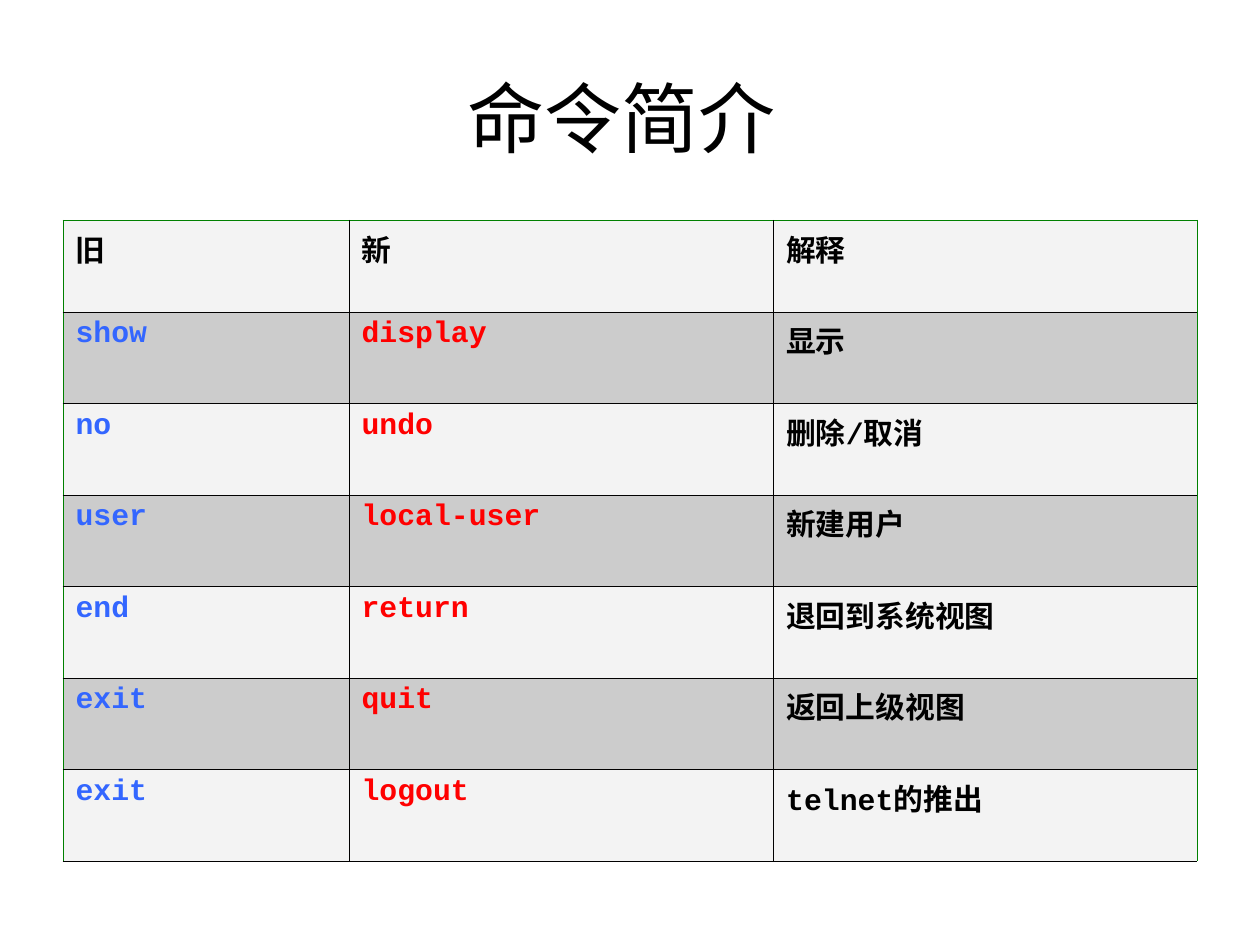
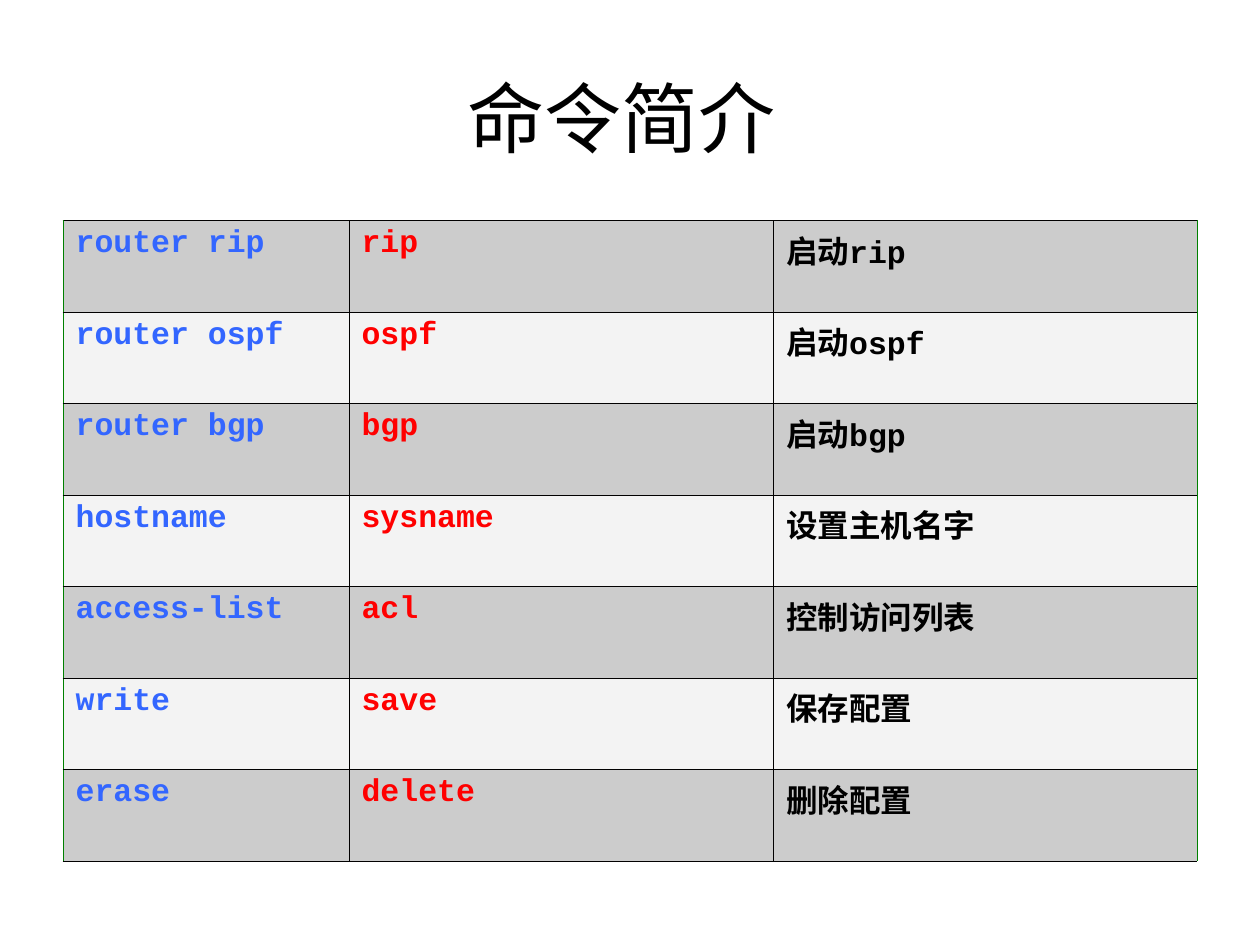
"""Build two slides that pair old router commands with new ones."""
from itertools import groupby

from lxml.etree import SubElement
from pptx import Presentation
from pptx.dml.color import RGBColor
from pptx.enum.text import MSO_ANCHOR, PP_ALIGN
from pptx.oxml import parse_xml
from pptx.oxml.ns import nsdecls, qn
from pptx.util import Emu, Inches, Pt

WIDTH, HEIGHT = Inches(10), Inches(7.5)
MARGIN = 0.05
TITLE_TOP, TITLE_HEIGHT = 0.04, 1 / 6
TABLE_TOP, TABLE_HEIGHT = 0.233, 0.678
COLUMN_SHARES = (0.227, 0.337, 0.336)

BLACK = RGBColor(0x00, 0x00, 0x00)
BLUE = RGBColor(0x33, 0x66, 0xFF)
RED = RGBColor(0xFF, 0x00, 0x00)
GREEN = RGBColor(0x00, 0x80, 0x00)
HAIRLINE = RGBColor(0x01, 0x00, 0x00)
STRIPES = (RGBColor(0xF3, 0xF3, 0xF3), RGBColor(0xCC, 0xCC, 0xCC))
COLUMN_COLORS = (BLUE, RED, BLACK)

TITLE_FONT, CODE_FONT, CHINESE_FONT = "Arial", "Courier New", "Noto Sans CJK SC"
TITLE = "命令简介 "
HEADER = ("旧", "新", "解释")
BASIC_COMMANDS = (
    ("show", "display", "显示"),
    ("no", "undo", "删除/取消"),
    ("user", "local-user", "新建用户"),
    ("end", "return", "退回到系统视图"),
    ("exit", "quit", "返回上级视图"),
    ("exit", "logout", "telnet的推出"),
)
SETUP_COMMANDS = (
    ("router rip", "rip", "启动rip"),
    ("router ospf", "ospf", "启动ospf"),
    ("router bgp", "bgp", "启动bgp"),
    ("hostname", "sysname", "设置主机名字"),
    ("access-list", "acl", "控制访问列表"),
    ("write", "save", "保存配置"),
    ("erase", "delete", "删除配置"),
)


def format_span(span, size, font, color, bold=False):
    """Set the look of one run, with a Chinese font beside the Latin one."""
    span.font.size = Pt(size)
    span.font.name = font
    span.font.bold = bold
    span.font.color.rgb = color
    SubElement(span.font._element, qn("a:ea"), typeface=CHINESE_FONT)


def add_title(page):
    """Add the centred slide title."""
    box = page.shapes.add_textbox(
        Emu(int(WIDTH * MARGIN)), Emu(int(HEIGHT * TITLE_TOP)),
        Emu(int(WIDTH * (1 - 2 * MARGIN))), Emu(int(HEIGHT * TITLE_HEIGHT)))
    box.text_frame.word_wrap = True
    box.text_frame.vertical_anchor = MSO_ANCHOR.MIDDLE
    para = box.text_frame.paragraphs[0]
    para.text = TITLE
    para.alignment = PP_ALIGN.CENTER
    format_span(para.runs[0], 44, TITLE_FONT, BLACK)


def set_borders(cell, green_sides):
    """Draw four cell borders, green on the named sides and hairlines elsewhere."""
    properties = cell._tc.get_or_add_tcPr()
    for position, side in enumerate("LRTB"):
        color, width = (GREEN, 0.45) if side in green_sides else (HAIRLINE, 0.06)
        properties.insert(position, parse_xml(
            f'<a:ln{side} {nsdecls("a")} w="{Pt(width)}"><a:solidFill>'
            f'<a:srgbClr val="{color}"/></a:solidFill></a:ln{side}>'))


def fill_cell(cell, text, size, color, hanging):
    """Write cell text, with code and Chinese parts in their own fonts."""
    para = cell.text_frame.paragraphs[0]
    if hanging:
        properties = para._p.get_or_add_pPr()
        properties.set("marL", str(Inches(hanging)))
        properties.set("indent", str(-Inches(hanging)))
    for is_code, letters in groupby(text, str.isascii):
        span = para.add_run()
        span.text = "".join(letters)
        format_span(span, size, CODE_FONT if is_code else CHINESE_FONT, color, True)


def add_command_table(page, rows, size, first_stripe=0, header=False, hanging=0):
    """Add a striped table of old command, new command and meaning."""
    frame = page.shapes.add_table(
        len(rows), len(COLUMN_SHARES),
        Emu(int(WIDTH * MARGIN)), Emu(int(HEIGHT * TABLE_TOP)),
        Emu(int(WIDTH * sum(COLUMN_SHARES))), Emu(int(HEIGHT * TABLE_HEIGHT)))
    table = frame.table
    for column, share in zip(table.columns, COLUMN_SHARES):
        column.width = Emu(int(WIDTH * share))
    for row_number, texts in enumerate(rows):
        is_header = header and row_number == 0
        for column_number, text in enumerate(texts):
            cell = table.cell(row_number, column_number)
            color = BLACK if is_header else COLUMN_COLORS[column_number]
            fill_cell(cell, text, size, color, hanging)
            cell.fill.solid()
            cell.fill.fore_color.rgb = STRIPES[(first_stripe + row_number) % 2]
            set_borders(cell, ("L", "", "R")[column_number] + "T" * is_header)


def main():
    """Build and save the deck."""
    deck = Presentation()
    deck.slide_width, deck.slide_height = WIDTH, HEIGHT
    basics, setup = (deck.slides.add_slide(deck.slide_layouts[6]) for _ in range(2))
    for page in (basics, setup):
        add_title(page)
    add_command_table(basics, (HEADER, *BASIC_COMMANDS), 17, header=True, hanging=0.38)
    add_command_table(setup, SETUP_COMMANDS, 18, first_stripe=1)
    deck.save("out.pptx")


if __name__ == "__main__":
    main()
